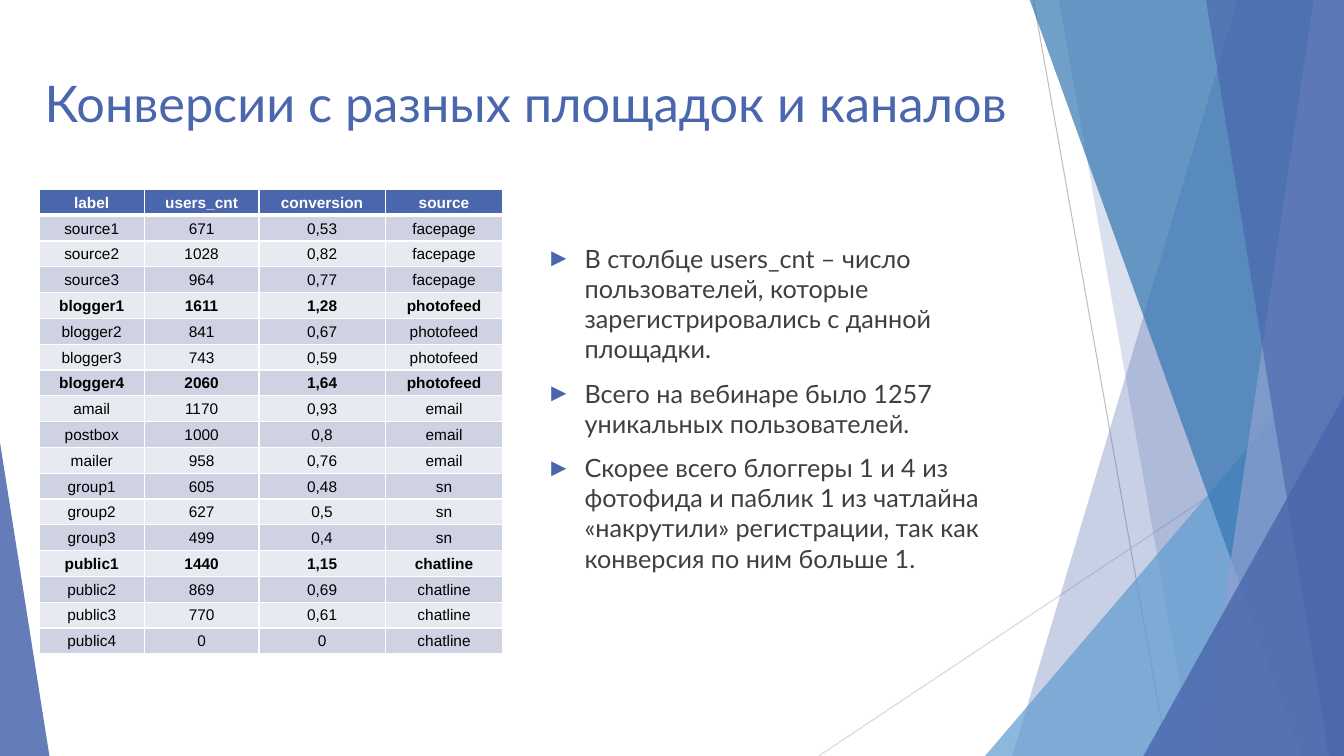
from lxml import etree
from pptx import Presentation
from pptx.dml.color import RGBColor
from pptx.enum.shapes import MSO_CONNECTOR, MSO_SHAPE
from pptx.enum.text import MSO_ANCHOR, MSO_AUTO_SIZE, PP_ALIGN
from pptx.oxml.ns import qn
from pptx.util import Inches, Pt

LINE, TRIANGLE = MSO_CONNECTOR.STRAIGHT, MSO_SHAPE.ISOSCELES_TRIANGLE
TOP, MIDDLE = MSO_ANCHOR.TOP, MSO_ANCHOR.MIDDLE
LEFT, CENTER = PP_ALIGN.LEFT, PP_ALIGN.CENTER
NO_FIT = MSO_AUTO_SIZE.NONE

# Content
TITLE = "Конверсии с разных площадок и каналов"
BULLETS = [
    "В столбце users_cnt – число пользователей, которые зарегистрировались с данной площадки.",
    "Всего на вебинаре было 1257 уникальных пользователей.",
    "Скорее всего блоггеры 1 и 4 из фотофида и паблик 1 из чатлайна "
    "«накрутили» регистрации, так как конверсия по ним больше 1.",
]
HEADER = ("label", "users_cnt", "conversion", "source")
ROWS = [
    ("source1", "671", "0,53", "facepage"),
    ("source2", "1028", "0,82", "facepage"),
    ("source3", "964", "0,77", "facepage"),
    ("blogger1", "1611", "1,28", "photofeed"),
    ("blogger2", "841", "0,67", "photofeed"),
    ("blogger3", "743", "0,59", "photofeed"),
    ("blogger4", "2060", "1,64", "photofeed"),
    ("amail", "1170", "0,93", "email"),
    ("postbox", "1000", "0,8", "email"),
    ("mailer", "958", "0,76", "email"),
    ("group1", "605", "0,48", "sn"),
    ("group2", "627", "0,5", "sn"),
    ("group3", "499", "0,4", "sn"),
    ("public1", "1440", "1,15", "chatline"),
    ("public2", "869", "0,69", "chatline"),
    ("public3", "770", "0,61", "chatline"),
    ("public4", "0", "0", "chatline"),
]
COL_WIDTHS = (1.04, 1.14, 1.25, 1.17)
TABLE_LEFT, TABLE_TOP, TABLE_HEIGHT = 0.39, 1.88, 4.61

# Look
BLUE, WHITE, BLACK, GREY = "4A66AC", "FFFFFF", "000000", "3F3F3F"
BANDS = ("CED2E2", "E8EAF1")
W, H = 13.33, 7.5
BLEED = -0.01

# Decoration: lines (from, to, colour); shards run to the right edge
LINES = [
    ((10.25, 0), (11.58, H), "BFBFBF"),
    ((W, 4.03), (8.12, H), "D8D8D8"),
]
# ("shard", top x, bottom x, colour, opacity) or
# ("triangle", left, top, width, apex, colour, opacity)
FACETS = [
    ("shard", 12.28, 10.04, BLUE, 30),
    ("shard", 10.5, 11.83, BLUE, 20),
    ("triangle", 9.77, 3.33, 3.56, 1, "629DD1", 72),
    ("shard", 10.21, 12.91, "3477B2", 70),
    ("shard", 13.03, 11.92, "8FA1CF", 70),
    ("shard", 11.96, 13.18, BLUE, 65),
    ("triangle", 11.34, 3.93, 1.99, 1, BLUE, 80),
    ("triangle", 0, 4.39, 0.49, 0, BLUE, 85),
]


def rgb(color):
    return RGBColor.from_string(color)


def paint(sp, color, opacity):
    sp.shadow.inherit = False
    sp.line.fill.background()
    sp.fill.solid()
    sp.fill.fore_color.rgb = rgb(color)
    clr = sp.fill._xPr.find(qn("a:solidFill"))[0]
    etree.SubElement(clr, qn("a:alpha"), val=str(opacity * 1000))


def add_line(s, start, end, color):
    cn = s.shapes.add_connector(LINE, *[Inches(v) for v in start + end])
    cn.line.color.rgb = rgb(color)
    cn.line.width = Pt(0.75)
    etree.SubElement(cn._element.spPr, qn("a:effectLst"))


def add_shard(s, top_x, bottom_x):
    corners = [(top_x, BLEED), (W, BLEED), (W, H), (bottom_x, H)]
    points = [(Inches(x), Inches(y)) for x, y in corners]
    fb = s.shapes.build_freeform(*points[0])
    fb.add_line_segments(points[1:], close=True)
    return fb.convert_to_shape()


def add_triangle(s, left, top, width, apex):
    sp = s.shapes.add_shape(TRIANGLE, Inches(left), Inches(top),
                            Inches(width), Inches(H - top))
    sp.adjustments[0] = apex
    return sp


def add_text(p, text, size, font, color, align, bold=False):
    p.alignment = align
    r = p.add_run()
    r.text = text
    r.font.size, r.font.name, r.font.bold = Pt(size), font, bold
    r.font.color.rgb = rgb(color)


def add_bullet(p):
    pPr = p._p.get_or_add_pPr()
    pPr.set("marL", str(Inches(0.38)))
    pPr.set("indent", str(-Inches(0.38)))
    clr = etree.SubElement(pPr, qn("a:buClr"))
    etree.SubElement(clr, qn("a:srgbClr"), val=BLUE)
    etree.SubElement(pPr, qn("a:buFont"), typeface="Arial")
    etree.SubElement(pPr, qn("a:buChar"), char="►")


def set_borders(cell, bottom):
    tcPr = cell._tc.get_or_add_tcPr()
    for i, (side, width) in enumerate(zip("LRTB", (1, 1, 1, bottom))):
        ln = etree.Element(qn("a:ln" + side), w=str(Pt(width)))
        fill = etree.SubElement(ln, qn("a:solidFill"))
        etree.SubElement(fill, qn("a:srgbClr"), val=WHITE)
        tcPr.insert(i, ln)


prs = Presentation()
prs.slide_width, prs.slide_height = Inches(W), Inches(H)
s = prs.slides.add_slide(prs.slide_layouts[5])

# Background facets
for start, end, color in LINES:
    add_line(s, start, end, color)
for kind, *place, color, opacity in FACETS:
    add = add_shard if kind == "shard" else add_triangle
    paint(add(s, *place), color, opacity)

# Title
title = s.shapes.title
title.left, title.top = Inches(0.29), Inches(0.67)
title.width, title.height = Inches(9.85), Inches(1.44)
tf = title.text_frame
tf.word_wrap, tf.auto_size, tf.vertical_anchor = True, NO_FIT, TOP
add_text(tf.paragraphs[0], TITLE, 36, "Lato", BLUE, CENTER)

# Bullets
box = s.shapes.add_textbox(Inches(5.32), Inches(2.36), Inches(4.82), Inches(4.12))
tf = box.text_frame
tf.word_wrap, tf.vertical_anchor = True, TOP
for i, text in enumerate(BULLETS):
    p = tf.add_paragraph() if i else tf.paragraphs[0]
    p.space_before = Pt(10 if i else 0)
    add_bullet(p)
    add_text(p, text, 18, "Lato", GREY, LEFT)

# Table: rows with a conversion above 1 are bold
table = s.shapes.add_table(
    len(ROWS) + 1, len(HEADER), Inches(TABLE_LEFT), Inches(TABLE_TOP),
    Inches(sum(COL_WIDTHS)), Inches(TABLE_HEIGHT)).table
for col, width in zip(table.columns, COL_WIDTHS):
    col.width = Inches(width)
for i, row in enumerate([HEADER] + ROWS):
    is_header = i == 0
    bold = is_header or float(row[2].replace(",", ".")) > 1
    for j, text in enumerate(row):
        cell = table.cell(i, j)
        cell.margin_left = cell.margin_right = cell.margin_top = Inches(0.01)
        cell.margin_bottom = 0
        cell.vertical_anchor = MIDDLE
        cell.fill.solid()
        cell.fill.fore_color.rgb = rgb(BLUE if is_header else BANDS[(i - 1) % 2])
        set_borders(cell, 3 if is_header else 1)
        add_text(cell.text_frame.paragraphs[0], text, 11, "Arial",
                 WHITE if is_header else BLACK, CENTER, bold)

prs.save("out.pptx")
